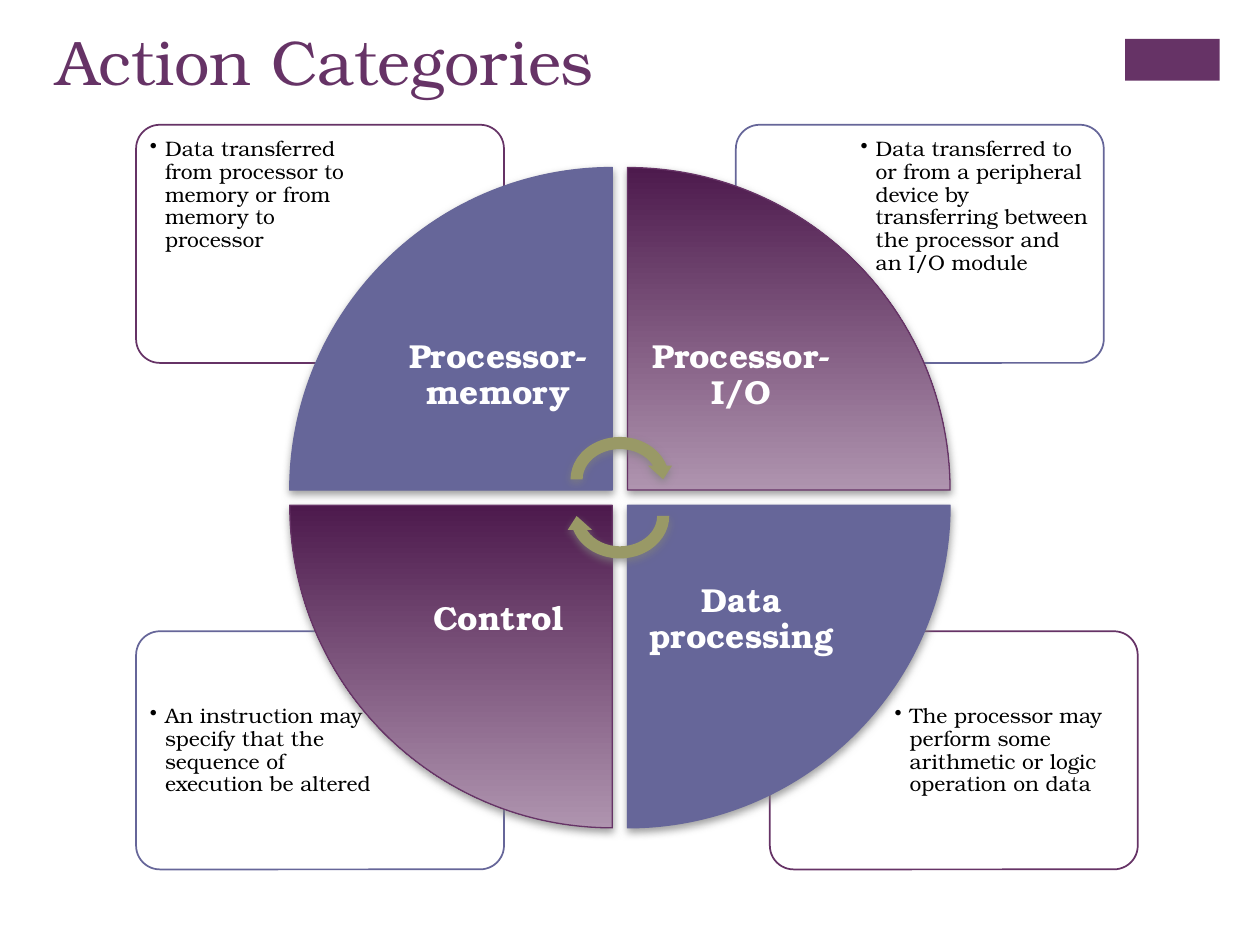
from dataclasses import dataclass

from lxml import etree
from pptx import Presentation
from pptx.dml.color import RGBColor
from pptx.enum.shapes import MSO_SHAPE
from pptx.enum.text import MSO_ANCHOR, PP_ALIGN
from pptx.oxml.ns import qn
from pptx.util import Pt

RECTANGLE = MSO_SHAPE.RECTANGLE
ROUNDED = MSO_SHAPE.ROUNDED_RECTANGLE
WEDGE = MSO_SHAPE.PIE_WEDGE
CIRCULAR_ARROW = MSO_SHAPE.CIRCULAR_ARROW
TOP, MIDDLE = MSO_ANCHOR.TOP, MSO_ANCHOR.MIDDLE
LEFT, CENTER = PP_ALIGN.LEFT, PP_ALIGN.CENTER

PX = 9144
FONT = "TeX Gyre Bonum"
COLORS = {
    "plum": "663366",
    "slate": "666699",
    "olive": "999966",
    "plum_dark": "4D1A4D",
    "plum_light": "AF94AF",
    "shadow": "808080",
    "white": "FFFFFF",
    "black": "000000",
}

PANEL_WIDTH, PANEL_HEIGHT = 292, 189
NOTE_WIDTH, NOTE_HEIGHT = 196, 133
PANEL_MARGIN = 4
WHEEL_LEFT, WHEEL_TOP = 230, 133
WEDGE_SIZE, WEDGE_STEP = 256, 268
LABEL_SIZE = 181
BULLET_INDENT = 12


@dataclass(frozen=True)
class Box:
    left: int
    top: int
    width: int
    height: int

    def emu(self) -> list[int]:
        return [n * PX for n in (self.left, self.top, self.width, self.height)]


@dataclass(frozen=True)
class TextStyle:
    size: int
    color: str
    bold: bool = False
    align: PP_ALIGN = LEFT
    anchor: MSO_ANCHOR = TOP
    inset: int = 7
    spacing: float = 0.9
    bullet: bool = False


@dataclass(frozen=True)
class Category:
    label: str
    note: str
    column: int
    row: int
    rotation: int
    panel_left: int
    panel_top: int
    panel_line: str
    gradient: bool


TITLE = TextStyle(36, "plum", inset=10, spacing=1.0)
NOTE = TextStyle(12, "black", bullet=True)
LABEL = TextStyle(19, "white", bold=True, align=CENTER, anchor=MIDDLE, inset=15)

CATEGORIES = [
    Category("Processor-memory",
             "Data transferred from processor to memory or from memory to processor",
             0, 0, 0, 108, 99, "plum", False),
    Category("Processor-I/O",
             "Data transferred to or from a peripheral device by transferring "
             "between the processor and an I/O module",
             1, 0, 90, 584, 99, "slate", True),
    Category("Data processing",
             "The processor may perform some arithmetic or logic operation on data",
             1, 1, 180, 611, 501, "plum", False),
    Category("Control",
             "An instruction may specify that the sequence of execution be altered",
             0, 1, 270, 108, 501, "slate", True),
]


def rgb(name: str) -> RGBColor:
    return RGBColor.from_string(COLORS[name])


def add_shape(page, kind, box: Box, fill: str, line: str = "",
              line_width: float = 1, rotation: int = 0):
    shape = page.shapes.add_shape(kind, *box.emu())
    shape.shadow.inherit = False
    shape.rotation = rotation
    shape.fill.solid()
    shape.fill.fore_color.rgb = rgb(fill)
    if line:
        shape.line.color.rgb = rgb(line)
        shape.line.width = Pt(line_width)
    else:
        shape.line.fill.background()
    return shape


def add_alpha(parent, percent: int) -> None:
    etree.SubElement(parent, qn("a:alpha"), val=str(percent * 1000))


def add_shadow(shape) -> None:
    effects = shape._element.spPr.find(qn("a:effectLst"))
    shadow = etree.SubElement(
        effects, qn("a:outerShdw"), blurRad=str(Pt(5)), dist=str(Pt(2)),
        dir="5400000", rotWithShape="0")
    color = etree.SubElement(shadow, qn("a:srgbClr"), val=COLORS["shadow"])
    add_alpha(color, 75)


def add_text(page, box: Box, text: str, style: TextStyle) -> None:
    frame = page.shapes.add_textbox(*box.emu()).text_frame
    frame.word_wrap = True
    frame.vertical_anchor = style.anchor
    frame.margin_left = frame.margin_right = style.inset * PX
    frame.margin_top = frame.margin_bottom = min(style.inset, 15) * PX
    if style is TITLE:
        frame.margin_top = frame.margin_bottom = 5 * PX
    para = frame.paragraphs[0]
    para.alignment = style.align
    para.line_spacing = style.spacing
    if style.bullet:
        properties = para._p.get_or_add_pPr()
        properties.set("marL", str(BULLET_INDENT * PX))
        properties.set("indent", str(-BULLET_INDENT * PX))
        etree.SubElement(properties, qn("a:buChar"), char="•")
    span = para.add_run()
    span.text = text
    span.font.name = FONT
    span.font.size = Pt(style.size)
    span.font.bold = style.bold
    span.font.color.rgb = rgb(style.color)


def add_panel(page, category: Category) -> None:
    box = Box(category.panel_left, category.panel_top, PANEL_WIDTH, PANEL_HEIGHT)
    panel = add_shape(page, ROUNDED, box, "white", category.panel_line)
    panel.adjustments[0] = 0.1
    add_alpha(panel._element.spPr.find(qn("a:solidFill"))[0], 90)
    slack_x = PANEL_WIDTH - NOTE_WIDTH - PANEL_MARGIN
    slack_y = PANEL_HEIGHT - NOTE_HEIGHT - PANEL_MARGIN
    note = Box(box.left + (slack_x if category.column else PANEL_MARGIN),
               box.top + (slack_y if category.row else PANEL_MARGIN),
               NOTE_WIDTH, NOTE_HEIGHT)
    add_text(page, note, category.note, NOTE)


def add_wedge(page, category: Category) -> None:
    left = WHEEL_LEFT + category.column * WEDGE_STEP
    top = WHEEL_TOP + category.row * WEDGE_STEP
    color = "plum" if category.gradient else "slate"
    wedge = add_shape(page, WEDGE, Box(left, top, WEDGE_SIZE, WEDGE_SIZE),
                      color, color, 0.75, category.rotation)
    if category.gradient:
        wedge.fill.gradient()
        wedge.fill.gradient_angle = 270
        for stop, name in zip(wedge.fill.gradient_stops, ("plum_dark", "plum_light")):
            stop.color.rgb = rgb(name)
        wedge._element.spPr.find(qn("a:gradFill")).set("rotWithShape", "0")
    add_shadow(wedge)
    inner = WEDGE_SIZE - LABEL_SIZE
    label = Box(left + (0 if category.column else inner),
                top + (0 if category.row else inner), LABEL_SIZE, LABEL_SIZE)
    add_text(page, label, category.label, LABEL)


def main() -> None:
    deck = Presentation()
    deck.slide_width, deck.slide_height = 1000 * PX, 750 * PX
    page = deck.slides.add_slide(deck.slide_layouts[6])
    add_shape(page, RECTANGLE, Box(893, 31, 75, 33), "plum")
    add_text(page, Box(35, 13, 843, 122), "Action Categories", TITLE)
    for category in CATEGORIES:
        add_panel(page, category)
    for category in CATEGORIES:
        add_wedge(page, category)
    for top, rotation in ((342, 0), (371, 180)):
        add_shadow(add_shape(page, CIRCULAR_ARROW, Box(448, top, 88, 77),
                             "olive", rotation=rotation))
    deck.save("out.pptx")


if __name__ == "__main__":
    main()
